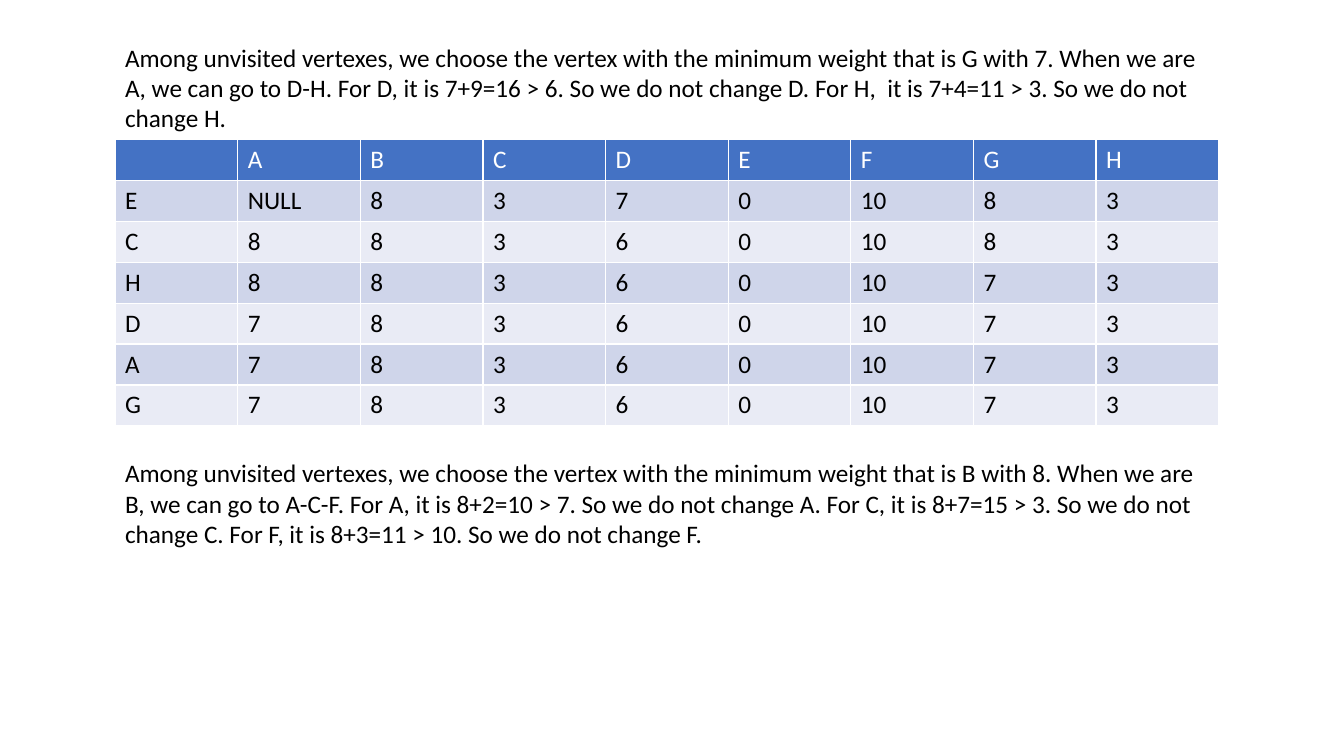
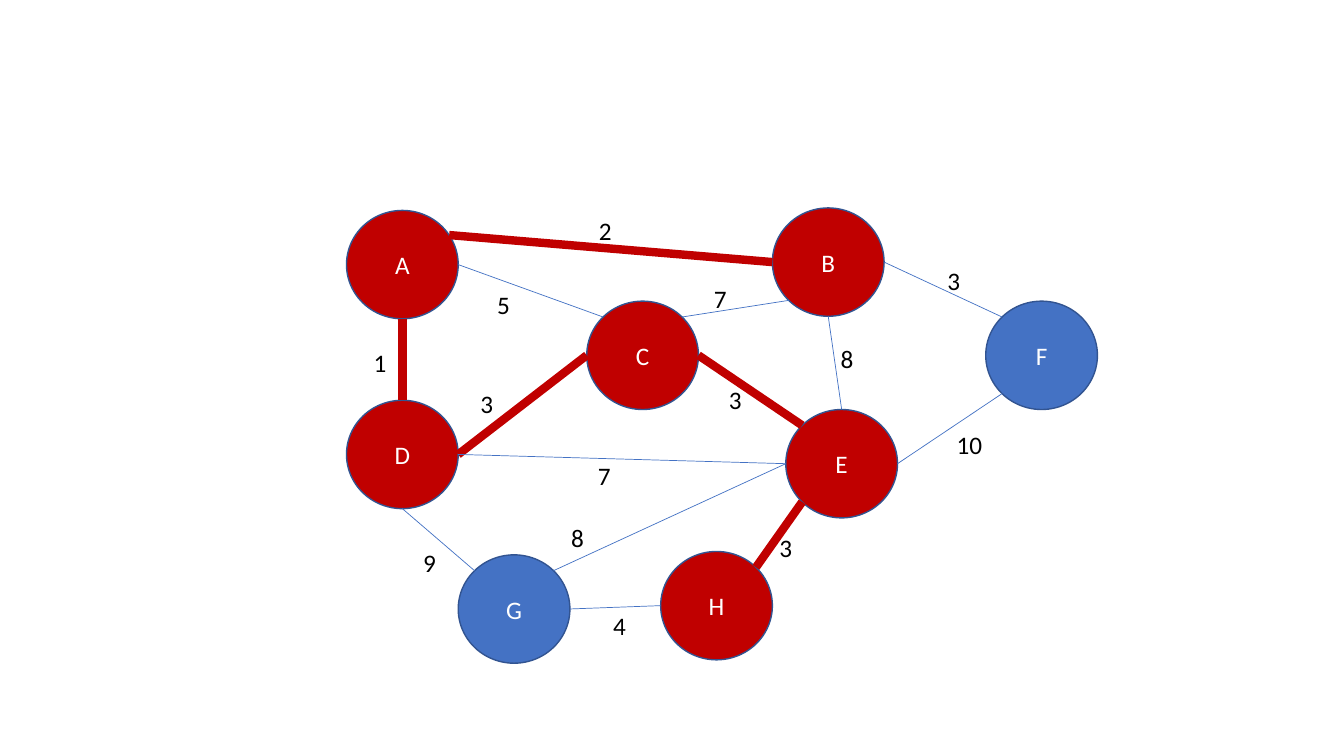
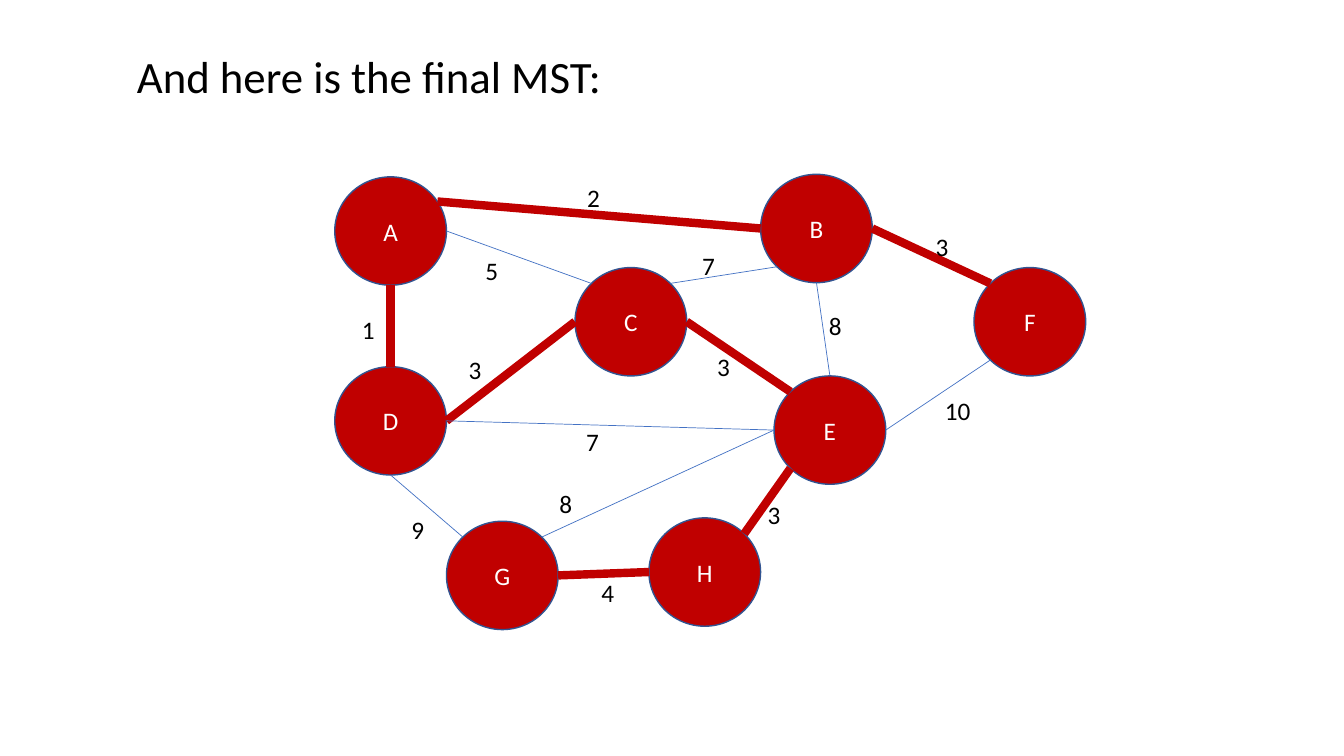
from math import cos, radians, sin

from pptx import Presentation
from pptx.dml.color import RGBColor
from pptx.enum.shapes import MSO_CONNECTOR as Link, MSO_SHAPE as Shape
from pptx.enum.text import MSO_ANCHOR as Anchor, MSO_AUTO_SIZE as AutoSize, PP_ALIGN as Align
from pptx.oxml.ns import qn
from pptx.util import Emu, Inches, Pt

# Shared look: a grid of 160 x 90 square cells, one font, one palette
COLUMNS, ROWS = 160, 90
CELL = Inches(1) // 12
FONT = "Calibri"
BLUE, RED, OUTLINE = "4472C4", "C00000", "325491"
BLACK, WHITE = "000000", "FFFFFF"
BANDS = ["E9EBF5", "CFD5EA"]
shade = RGBColor.from_string


def cells(*lengths):
    return [Emu(round(length * CELL)) for length in lengths]


def write(frame, text, color=BLACK, size=18, align=Align.LEFT):
    frame.word_wrap = True
    paragraph = frame.paragraphs[0]
    paragraph.text = text
    paragraph.alignment = align
    paragraph.font.name = FONT
    paragraph.font.size = Pt(size)
    paragraph.font.bold = False
    paragraph.font.color.rgb = shade(color)


deck = Presentation()
deck.slide_width, deck.slide_height = cells(COLUMNS, ROWS)
title_only, blank = deck.slide_layouts[5], deck.slide_layouts[6]

# Slide 1: weights after each visited vertex
LEFT, WIDTH = 13.7, 131.4
STEP_G = (
    "Among unvisited vertexes, we choose the vertex with the minimum weight that is G with 7. "
    "When we are A, we can go to D-H. For D, it is 7+9=16 > 6. So we do not change D. "
    "For H,  it is 7+4=11 > 3. So we do not change H."
)
STEP_B = (
    "Among unvisited vertexes, we choose the vertex with the minimum weight that is B with 8. "
    "When we are B, we can go to A-C-F. For A, it is 8+2=10 > 7. So we do not change A. "
    "For C, it is 8+7=15 > 3. So we do not change C. "
    "For F, it is 8+3=11 > 10. So we do not change F."
)
weights = [
    ["", *"ABCDEFGH"],
    ["E", "NULL", 8, 3, 7, 0, 10, 8, 3],
    ["C", 8, 8, 3, 6, 0, 10, 8, 3],
    ["H", 8, 8, 3, 6, 0, 10, 7, 3],
    ["D", 7, 8, 3, 6, 0, 10, 7, 3],
    ["A", 7, 8, 3, 6, 0, 10, 7, 3],
    ["G", 7, 8, 3, 6, 0, 10, 7, 3],
]

weights_slide = deck.slides.add_slide(blank)
for top, step in [(4.4, STEP_G), (53.9, STEP_B)]:
    step_box = weights_slide.shapes.add_textbox(*cells(LEFT, top, WIDTH, 12.1))
    write(step_box.text_frame, step)

weight_table = weights_slide.shapes.add_table(
    len(weights), len(weights[0]), *cells(LEFT, 16.6, WIDTH, 34.1)
).table
for row, values in enumerate(weights):
    for column, value in enumerate(values):
        cell = weight_table.cell(row, column)
        cell.fill.solid()
        cell.fill.fore_color.rgb = shade(BANDS[row % 2] if row else BLUE)
        write(cell.text_frame, str(value), BLACK if row else WHITE)

# Graph: vertex centres, then edges as
# (ends, angle at each end, weight, left and top of the weight)
VERTEX_W, VERTEX_H = 13.3, 12.9
vertices = {
    "A": (47.9, 31.5), "D": (47.9, 54.1), "G": (61.2, 72.5), "C": (76.5, 42.3),
    "B": (98.6, 31.2), "E": (100.2, 55.2), "H": (85.3, 72.1), "F": (124, 42.3),
}
edges = [
    ("AC", 0, 135, 5, 58, 33.8),
    ("AB", 33, 180, 2, 70.1, 25.1),
    ("AD", 270, 90, 1, 43.3, 40.8),
    ("DG", 270, 135, 9, 49.2, 64.6),
    ("GH", 0, 180, 4, 71.8, 72.1),
    ("HE", 45, 225, 3, 91.6, 62.8),
    ("EF", 0, 225, 10, 112.7, 50.5),
    ("BF", 0, 135, 3, 111.6, 31),
    ("BE", 270, 90, 8, 98.9, 40.3),
    ("DC", 0, 180, 3, 56, 45.6),
    ("CB", 45, 225, 7, 83.8, 33.2),
    ("DE", 0, 180, 7, 70, 54.2),
    ("CE", 0, 135, 3, 85.6, 45.2),
    ("GE", 45, 180, 8, 66.8, 61.6),
]

# Slides 2 and 3: the growing tree, then the final one under a title
partial_tree = ["AB", "AD", "DC", "CE", "HE"]
stages = [
    (None, partial_tree, 0, 0),
    ("And here is the final MST:", partial_tree + ["BF", "GH"], -1.4, -4),
]
for title, tree, shift_x, shift_y in stages:
    graph_slide = deck.slides.add_slide(title_only if title else blank)
    shapes = graph_slide.shapes
    if title:
        heading = shapes.title
        heading.left, heading.top, heading.width, heading.height = cells(15.1, 5.2, 129.8, 7.7)
        heading.text_frame.auto_size = AutoSize.NONE
        heading.text_frame.vertical_anchor = Anchor.TOP
        write(heading.text_frame, title, size=32)

    # Vertices, red once the tree reaches them
    reached = set("".join(tree))
    for letter, (x, y) in vertices.items():
        vertex = shapes.add_shape(Shape.OVAL, *cells(
            x + shift_x - VERTEX_W / 2, y + shift_y - VERTEX_H / 2, VERTEX_W, VERTEX_H))
        vertex.shadow.inherit = False
        vertex.fill.solid()
        vertex.fill.fore_color.rgb = shade(RED if letter in reached else BLUE)
        vertex.line.color.rgb = shade(OUTLINE)
        vertex.line.width = Pt(1)
        vertex.text_frame.vertical_anchor = Anchor.MIDDLE
        write(vertex.text_frame, letter, WHITE, align=Align.CENTER)

    # Edges, thick and red inside the tree, with their weights
    for ends, start_angle, end_angle, weight, left, top in edges:
        points = []
        for letter, angle in zip(ends, (start_angle, end_angle)):
            x, y = vertices[letter]
            points += [x + shift_x + VERTEX_W / 2 * cos(radians(angle)),
                       y + shift_y - VERTEX_H / 2 * sin(radians(angle))]
        edge = shapes.add_connector(Link.STRAIGHT, *cells(*points))
        edge.line.color.rgb = shade(RED if ends in tree else BLUE)
        edge.line.width = Pt(6 if ends in tree else 0.5)
        properties = edge._element.spPr
        properties.append(properties.makeelement(qn("a:effectLst"), {}))

        label_width = 4.7 if weight < 10 else 7.4
        label = shapes.add_textbox(*cells(left + shift_x, top + shift_y, label_width, 4.8))
        write(label.text_frame, str(weight))

deck.save("out.pptx")
